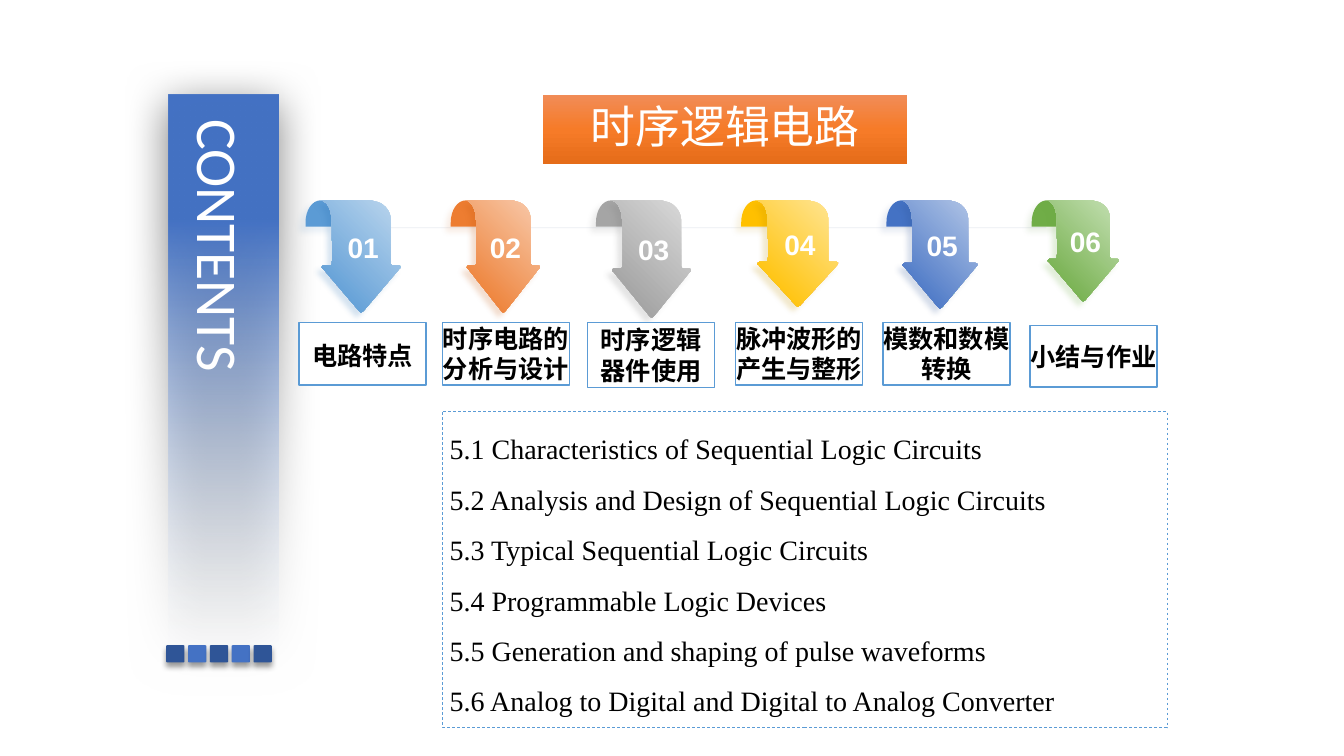
from lxml.etree import SubElement
from pptx import Presentation
from pptx.dml.color import RGBColor
from pptx.enum.dml import MSO_LINE
from pptx.enum.shapes import MSO_CONNECTOR, MSO_SHAPE
from pptx.enum.text import MSO_ANCHOR, MSO_AUTO_SIZE, PP_ALIGN
from pptx.oxml.ns import qn
from pptx.util import Cm, Pt

COLORS = {
    "white": "FFFFFF", "black": "000000", "blue": "4472C4", "navy": "2F5597",
    "haze": "F7FAFD", "frame": "5B9BD5", "rail": "99A8BD",
    "banner_top": "F18C57", "banner_mid": "F67B28", "banner_end": "E56C19",
}
CJK_FONT = "Noto Sans CJK SC"
FOLD = [(0.51, 0), (0.78, 0, 1, 0.38, 1, 0.85), (1, 1), (0, 1), (0, 0.85),
        (0, 0.38, 0.22, 0, 0.51, 0)]
RIBBON = [(0, 0), (0.64, 0), (0.69, 0.01), (0.79, 0.02, 0.88, 0.09, 0.88, 0.17),
          (0.88, 0.55), (0.88, 0.57, 0.89, 0.58, 0.9, 0.58), (0.97, 0.58),
          (0.98, 0.58, 0.99, 0.58, 1, 0.59), (1, 0.6, 1, 0.61, 0.99, 0.61),
          (0.54, 0.99), (0.53, 0.99, 0.53, 1, 0.51, 1),
          (0.5, 1, 0.5, 0.99, 0.49, 0.99), (0.04, 0.61),
          (0.03, 0.61, 0.02, 0.6, 0.03, 0.59), (0.04, 0.58, 0.05, 0.58, 0.06, 0.58),
          (0.13, 0.58), (0.15, 0.58, 0.15, 0.57, 0.15, 0.55),
          (0.16, 0.54, 0.15, 0.39, 0.15, 0.21), (0.15, 0.03, 0.05, 0, 0, 0)]
# number, ribbon size, light, base, fold shadow, ribbon shadow, dark stop
ARROWS = [
    ("01", 2.03, 2.82, "BDD7EE", "5B9BD5", "2E75B6", "2E75B6", 90),
    ("02", 1.88, 2.82, "F8CBAD", "ED7D31", "C55A11", "C55A11", 90),
    ("03", 2.03, 2.95, "DBDBDB", "A5A5A5", "7C7C7C", "525252", 80),
    ("04", 2.08, 2.67, "FFE699", "FFC000", "BF9000", "BF9000", 90),
    ("05", 1.93, 2.72, "B4C7E7", "4472C4", "2F5597", "2F5597", 90),
    ("06", 1.83, 2.54, "C5E0B4", "70AD47", "70AD47", "548235", 90),
]
LABELS = [
    ("电路特点", 7.54, 8.13, 1.57), ("时序电路的分析与设计", 11.15, 8.13, 1.57),
    ("时序逻辑\n器件使用", 14.81, 8.13, 1.63), ("脉冲波形的产生与整形", 18.54, 8.13, 1.57),
    ("模数和数模转换", 22.25, 8.13, 1.57), ("小结与作业", 25.96, 8.2, 1.55),
]
SECTIONS = [
    "5.1 Characteristics of Sequential Logic Circuits",
    "5.2 Analysis and Design of Sequential Logic Circuits",
    "5.3 Typical Sequential Logic Circuits",
    "5.4 Programmable Logic Devices",
    "5.5 Generation and shaping of pulse waveforms",
    "5.6 Analog to Digital and Digital to Analog Converter",
]


def lengths(box):
    """Turn centimetres into slide lengths."""
    return [Cm(value) for value in box]


def add_color(parent, color, opacity=100):
    """Add a colour element with its opacity."""
    srgb = SubElement(parent, qn("a:srgbClr"), val=color)
    if opacity < 100:
        SubElement(srgb, qn("a:alpha"), val=str(opacity * 1000))


def fill_gradient(shape, stops, angle):
    """Fill a shape with stops of position, colour and opacity."""
    shape.fill.gradient()
    gradient = shape._element.spPr.find(qn("a:gradFill"))
    for child in list(gradient):
        gradient.remove(child)
    stop_list = SubElement(gradient, qn("a:gsLst"))
    for position, color, opacity in stops:
        stop = SubElement(stop_list, qn("a:gs"), pos=str(position * 1000))
        add_color(stop, color, opacity)
    SubElement(gradient, qn("a:lin"), ang=str(angle * 60000), scaled="0")


def cast_shadow(shape, color, opacity, blur, distance, angle):
    """Give a shape an outer shadow and no outline."""
    shape.line.fill.background()
    shape.shadow.inherit = False
    effects = shape._element.spPr.find(qn("a:effectLst"))
    outer = SubElement(effects, qn("a:outerShdw"), blurRad=str(Pt(blur)),
                       dist=str(Pt(distance)), dir=str(angle * 60000), rotWithShape="0")
    add_color(outer, color, opacity)


def write(shape, text, size, font, color, margins=(0.18, 0.1, 0.18, 0.1), bold=False,
          align=PP_ALIGN.CENTER, anchor=MSO_ANCHOR.TOP, spacing=None, wrap=True):
    """Set and format the text of a shape."""
    frame = shape.text_frame
    frame.text = text
    frame.word_wrap = wrap
    frame.vertical_anchor = anchor
    (frame.margin_left, frame.margin_top,
     frame.margin_right, frame.margin_bottom) = lengths(margins)
    for paragraph in frame.paragraphs:
        paragraph.alignment = align
        if spacing:
            paragraph.line_spacing = spacing
        for run in paragraph.runs:
            run.font.size = Pt(size)
            run.font.name = font
            run.font.bold = bold
            run.font.color.rgb = RGBColor.from_string(color)
            SubElement(run.font._element, qn("a:ea"), typeface=CJK_FONT)


def draw_outline(shapes, box, outline):
    """Build a closed outline of lines and curves scaled to the box."""
    left, top, width, height = box
    points = [outline[0]]
    for step in outline[1:]:
        if len(step) == 2:
            points.append(step)
            continue
        x0, y0 = points[-1]
        x1, y1, x2, y2, x3, y3 = step
        for t in (n / 8 for n in range(1, 9)):
            a, b, c, d = (1 - t) ** 3, 3 * t * (1 - t) ** 2, 3 * t * t * (1 - t), t ** 3
            points.append((a * x0 + b * x1 + c * x2 + d * x3,
                           a * y0 + b * y1 + c * y2 + d * y3))
    placed = [(Cm(left + x * width), Cm(top + y * height)) for x, y in points]
    builder = shapes.build_freeform(*placed[0], scale=1.0)
    builder.add_line_segments(placed[1:], close=True)
    return builder.convert_to_shape()


def add_sidebar(shapes, box):
    """Draw the upright contents bar with its row of squares."""
    left, top, width, height = box
    turned = (left + (width - height) / 2, top + (height - width) / 2, height, width)
    bar = shapes.add_shape(MSO_SHAPE.RECTANGLE, *lengths(turned))
    bar.rotation = 90
    fill_gradient(bar, [(0, COLORS["haze"], 0), (78, COLORS["blue"], 100)], 180)
    cast_shadow(bar, COLORS["black"], 50, 31, 6, 97)
    squares = shapes.add_group_shape().shapes
    for index in range(5):
        square = squares.add_shape(MSO_SHAPE.ROUNDED_RECTANGLE, *lengths(
            (left - 0.05 + 0.55 * index, top + height - 0.33, 0.46, 0.43)))
        square.adjustments[0] = 0.05
        square.fill.solid()
        square.fill.fore_color.rgb = RGBColor.from_string(
            COLORS["blue" if index % 2 else "navy"])
        cast_shadow(square, COLORS["black"], 40, 4, 3, 90)
    contents = shapes.add_textbox(*lengths((left + 0.23, top + 0.51, 2.13, 9.42)))
    write(contents, "CONTENTS", 41.2, "Calibri", COLORS["white"], align=PP_ALIGN.LEFT)
    contents.text_frame.auto_size = MSO_AUTO_SIZE.SHAPE_TO_FIT_TEXT
    contents.text_frame._txBody.bodyPr.set("vert", "eaVert")


def add_banner(banner, box):
    """Move the title placeholder and format it as an orange banner."""
    banner.left, banner.top, banner.width, banner.height = lengths(box)
    fill_gradient(banner, [(0, COLORS["banner_top"], 100), (50, COLORS["banner_mid"], 100),
                           (100, COLORS["banner_end"], 100)], 90)
    write(banner, "时序逻辑电路", 32, CJK_FONT, COLORS["white"])
    banner.text_frame.auto_size = MSO_AUTO_SIZE.NONE


def add_arrows(shapes, box):
    """Draw the rail and the six numbered ribbon arrows."""
    left, top, width, pitch = box
    rail = shapes.add_connector(MSO_CONNECTOR.STRAIGHT, *lengths(
        (left + 1.8, top + 0.69, left + width, top + 0.69)))
    rail.line.width = Pt(0.5)
    rail.line.color.rgb = RGBColor.from_string(COLORS["rail"])
    rail_color = rail.line._ln.find(qn("a:solidFill"))[0]
    SubElement(rail_color, qn("a:alpha"), val="20000")
    SubElement(rail._element.spPr, qn("a:effectLst"))
    for index, arrow in enumerate(ARROWS):
        number, ribbon_width, ribbon_height, light, base, shade, fold_shade, stop = arrow
        x = left + pitch * index
        fold = draw_outline(shapes, (x, top, 0.75, 0.66), FOLD)
        fold.fill.solid()
        fold.fill.fore_color.rgb = RGBColor.from_string(base)
        cast_shadow(fold, fold_shade, 10, 4, 5, 135)
        ribbon = draw_outline(shapes, (x + 0.36, top, ribbon_width, ribbon_height), RIBBON)
        fill_gradient(ribbon, [(0, light, 100), (stop, base, 100)], 135)
        cast_shadow(ribbon, shade, 20, 4, 5, 135)
        write(ribbon, number, 20.1, "Arial", COLORS["white"], (0.41, 0.18, 0.25, 0.66),
              bold=True, anchor=MSO_ANCHOR.MIDDLE, wrap=False)


def add_frame(shapes, box, line_width):
    """Add an unfilled rectangle with a blue outline."""
    frame = shapes.add_shape(MSO_SHAPE.RECTANGLE, *lengths(box))
    frame.shadow.inherit = False
    frame.fill.background()
    frame.line.color.rgb = RGBColor.from_string(COLORS["frame"])
    frame.line.width = Pt(line_width)
    return frame


def add_label(shapes, box, topic):
    """Add one topic label below its arrow."""
    label = add_frame(shapes, box, 1)
    label.fill.solid()
    label.fill.fore_color.rgb = RGBColor.from_string(COLORS["white"])
    write(label, topic, 18, "Arial", COLORS["black"], (0, 0, 0, 0), bold=True,
          anchor=MSO_ANCHOR.MIDDLE, spacing=1.1 if topic == LABELS[0][0] else None)


def add_sections(shapes, box):
    """Add the dashed box that lists the sections."""
    sections = add_frame(shapes, box, 0.5)
    sections.line.dash_style = MSO_LINE.DASH
    write(sections, "\n".join(SECTIONS), 20, "Times New Roman", COLORS["black"],
          align=PP_ALIGN.LEFT, spacing=1.5)


def main():
    """Build the contents slide and save it."""
    deck = Presentation()
    deck.slide_width, deck.slide_height = Cm(33.87), Cm(19.05)
    slide = deck.slides.add_slide(deck.slide_layouts[5])
    add_sidebar(slide.shapes, (4.24, 2.39, 2.79, 14.2))
    add_banner(slide.shapes.title, (13.69, 2.39, 9.17, 1.75))
    add_arrows(slide.shapes, (7.7, 5.05, 18.67, 3.66))
    for topic, left, top, height in LABELS:
        add_label(slide.shapes, (left, top, 3.2, height), topic)
    add_sections(slide.shapes, (11.15, 10.36, 18.26, 7.98))
    deck.save("out.pptx")


if __name__ == "__main__":
    main()
